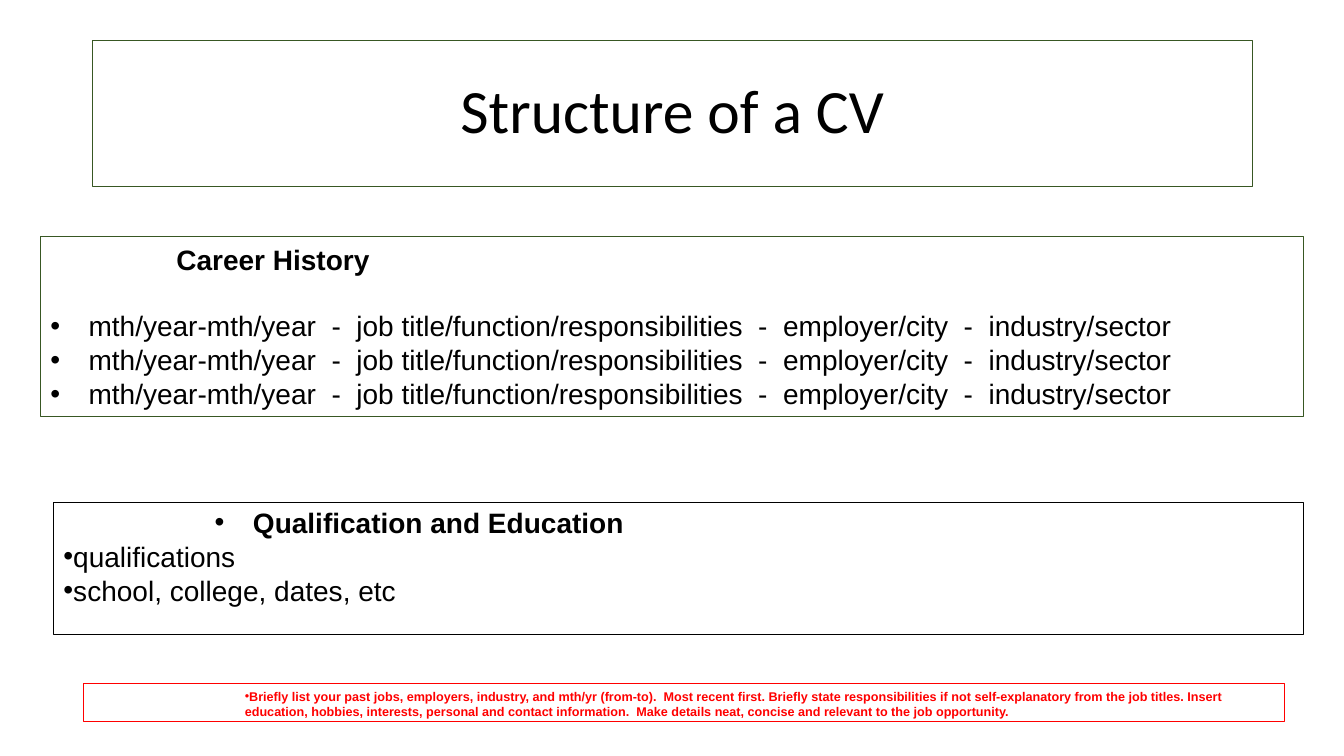
"""Build the slide on the structure of a CV."""
from lxml import etree
from pptx import Presentation
from pptx.dml.color import RGBColor
from pptx.enum.shapes import MSO_SHAPE
from pptx.enum.text import MSO_ANCHOR, PP_ALIGN
from pptx.oxml.ns import qn
from pptx.util import Inches, Pt

WIDTH, HEIGHT = Inches(13.33), Inches(7.5)
BLACK, GREEN, RED, WHITE = "000000", "385723", "FF0000", "FFFFFF"

TITLE = {
    "text": "Structure of a CV",
    "place": (6.9, 5.33, 86.27, 19.33),
}
JOB = "mth/year-mth/year  -  job title/function/responsibilities  -  employer/city  -  industry/sector"
ADVICE = (
    "Briefly list your past jobs, employers, industry, and mth/yr (from-to).  Most recent first. "
    "Briefly state responsibilities if not self-explanatory from the job titles. "
    "Insert education, hobbies, interests, personal and contact information.  "
    "Make details neat, concise and relevant to the job opportunity."
)
HEADING = {"bold": True}
SECTIONS = [
    {
        "place": (3, 31.33, 94, 23.73), "edge": GREEN, "edge_width": 0.75,
        "ink": BLACK, "size": 20, "pitch": 24.2, "inset": 0.05,
        "lines": [
            {"text": "Career History", "margin": 1.25, **HEADING},
            {"text": JOB, "margin": 0.38, "hang": 0.38, "bullet": True, "before": 23.5},
            {"text": JOB, "margin": 0.38, "hang": 0.38, "bullet": True},
            {"text": JOB, "margin": 0.38, "hang": 0.38, "bullet": True},
        ],
    },
    {
        "place": (3.98, 66.53, 93.02, 17.47), "edge": BLACK, "edge_width": 0.75,
        "ink": BLACK, "size": 20, "pitch": 24.2, "inset": 0.02,
        "lines": [
            {"text": "Qualification and Education", "margin": 1.88, "hang": 0.38,
             "bullet": True, **HEADING},
            {"text": "qualifications", "bullet": True},
            {"text": "school, college, dates, etc", "bullet": True},
        ],
    },
    {
        "place": (6.23, 90.4, 89.35, 5.07), "edge": RED, "edge_width": 1, "fill": WHITE,
        "ink": RED, "size": 9, "pitch": 11, "inset": 0.05,
        "lines": [{"text": ADVICE, "margin": 1.5, "bullet": True, **HEADING}],
    },
]


def colour(value):
    return RGBColor.from_string(value)


def apply(target, values):
    for name, value in values.items():
        setattr(target, name, value)


def put(shape, place):
    left, top, width, height = (share / 100 for share in place)
    apply(shape, {
        "left": round(left * WIDTH), "top": round(top * HEIGHT),
        "width": round(width * WIDTH), "height": round(height * HEIGHT),
    })


def outline(shape, edge, width):
    shape.line.color.rgb = colour(edge)
    shape.line.width = Pt(width)


def style(font, name, size, ink, bold=False):
    apply(font, {"name": name, "size": Pt(size), "bold": bold})
    font.color.rgb = colour(ink)


def write_line(para, line, section):
    properties = para._p.get_or_add_pPr()
    properties.set("marL", str(Inches(line.get("margin", 0))))
    properties.set("indent", str(-Inches(line.get("hang", 0))))
    if line.get("bullet"):
        etree.SubElement(properties, qn("a:buFont")).set("typeface", "Arial")
        etree.SubElement(properties, qn("a:buChar")).set("char", "•")
    apply(para, {
        "alignment": PP_ALIGN.LEFT,
        "line_spacing": Pt(section["pitch"]),
        "space_before": Pt(line.get("before", 0)),
    })
    span = para.add_run()
    span.text = line["text"]
    style(span.font, "Arial", section["size"], section["ink"], line.get("bold", False))


def add_section(page, section):
    box = page.shapes.add_shape(MSO_SHAPE.RECTANGLE, 0, 0, 0, 0)
    put(box, section["place"])
    outline(box, section["edge"], section["edge_width"])
    box.shadow.inherit = False
    if "fill" in section:
        box.fill.solid()
        box.fill.fore_color.rgb = colour(section["fill"])
    else:
        box.fill.background()
    frame = box.text_frame
    apply(frame, {
        "word_wrap": True, "vertical_anchor": MSO_ANCHOR.TOP,
        "margin_top": Inches(section["inset"]), "margin_bottom": 0,
    })
    for number, line in enumerate(section["lines"]):
        para = frame.add_paragraph() if number else frame.paragraphs[0]
        write_line(para, line, section)


def add_title(page):
    title = page.shapes.title
    put(title, TITLE["place"])
    outline(title, GREEN, 0.75)
    title.text_frame.text = TITLE["text"]
    apply(title.text_frame, {"word_wrap": True, "vertical_anchor": MSO_ANCHOR.MIDDLE})
    para = title.text_frame.paragraphs[0]
    apply(para, {"alignment": PP_ALIGN.CENTER, "line_spacing": 0.9})
    style(para.runs[0].font, "Calibri", 44, BLACK)


def main():
    deck = Presentation()
    apply(deck, {"slide_width": WIDTH, "slide_height": HEIGHT})
    page = deck.slides.add_slide(deck.slide_layouts[5])
    add_title(page)
    for section in SECTIONS:
        add_section(page, section)
    deck.save("out.pptx")


if __name__ == "__main__":
    main()
